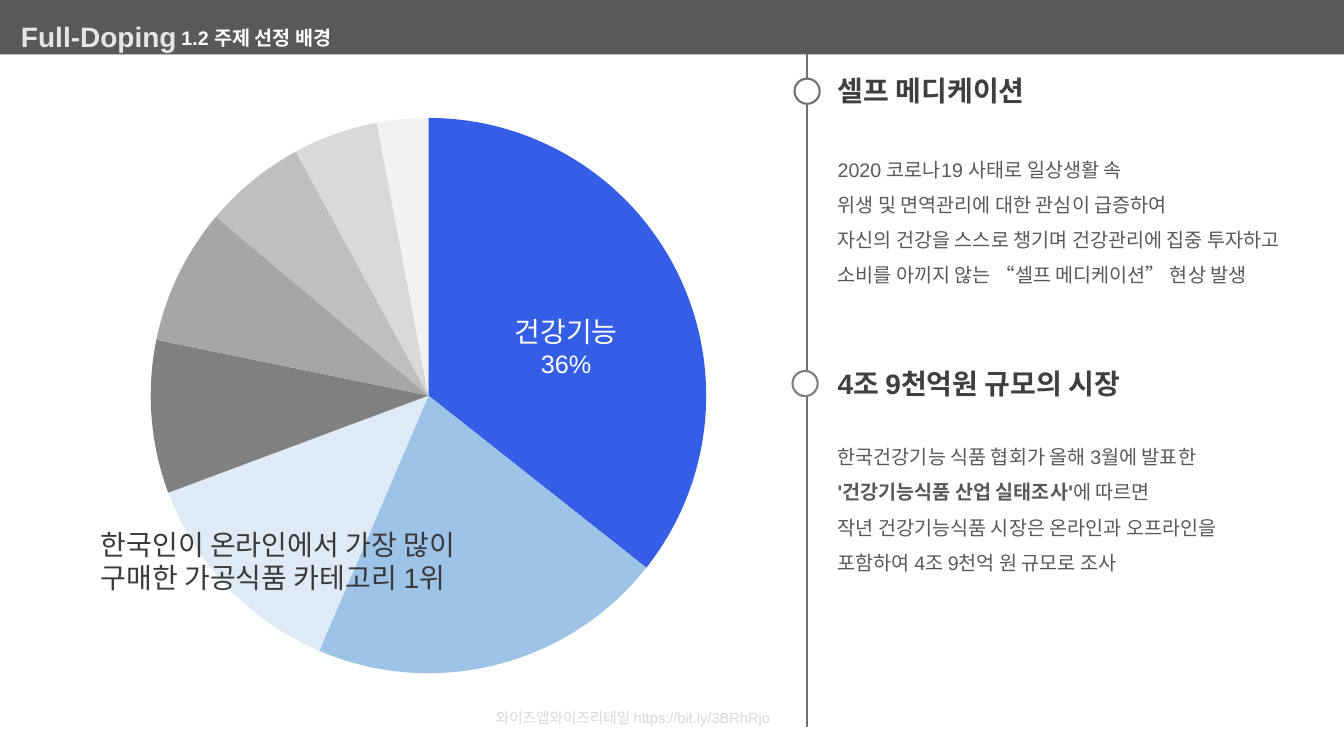
from pptx import Presentation, util as u
from pptx.chart import data as cd
from pptx.dml.color import RGBColor
from pptx.enum import chart as ch, shapes as sh, text as tx
from pptx.oxml import parse_xml
from pptx.oxml.ns import nsdecls
from lxml import etree

WIDE, HIGH = 13.33, 7.5
BAR = 0.54
AXIS = 8
DOT = 0.25
FONT = "Arial"
COL = {
    "bar": "595959", "brand": "E7E6E6", "white": "FFFFFF", "axis": "757070",
    "ring": "7F7F7F", "head": "3F3F3F", "body": "595959", "claim": "3A3838",
    "cite": "D8D8D8", "black": "000000",
}
PIE = [(36, "345EE6"), (21, "9DC3E6"), (13, "DEEBF7"), (9, "808080"),
       (8, "A6A6A6"), (6, "BFBFBF"), (5, "D9D9D9"), (3, "F2F2F2")]
SELF = [
    [("2020 코로나19 사태로 일상생활 속", False)],
    [("위생 및 면역관리에 대한 관심이 급증하여", False)],
    [("자신의 건강을 스스로 챙기며 건강관리에 집중 투자하고", False)],
    [("소비를 아끼지 않는 “셀프 메디케이션” 현상 발생", False)],
]
MARKET = [
    [("한국건강기능 식품 협회가 올해 3월에 발표한", False)],
    [("'건강기능식품 산업 실태조사'", True), ("에 따르면", False)],
    [("작년 건강기능식품 시장은 온라인과 오프라인을", False)],
    [("포함하여 4조 9천억 원 규모로 조사", False)],
]


def rgb(name):
    """Return the colour with the given name."""
    return RGBColor.from_string(COL[name])


def inch(*vals):
    """Turn numbers into inches."""
    return [u.Inches(v) for v in vals]


def write(par, words, size, color, bold=False):
    """Add one run to a paragraph."""
    run = par.add_run()
    run.text = words
    font = run.font
    font.name, font.size, font.bold = FONT, u.Pt(size), bold
    font.color.rgb = rgb(color)


def label(slide, box, lines, color, align=tx.PP_ALIGN.LEFT):
    """Add a text box with one paragraph per (words, size, bold) line."""
    frame = slide.shapes.add_textbox(*inch(*box)).text_frame
    frame.word_wrap = True
    for i, (words, size, bold) in enumerate(lines):
        par = frame.add_paragraph() if i else frame.paragraphs[0]
        par.alignment = align
        write(par, words, size, color, bold)


def paint(shape, fill, line=None):
    """Give a shape a flat fill and an optional outline."""
    shape.shadow.inherit = False
    shape.fill.solid()
    shape.fill.fore_color.rgb = rgb(fill)
    if line:
        shape.line.color.rgb = rgb(line)
        shape.line.width = u.Pt(1.5)
    else:
        shape.line.fill.background()


def header(slide, box):
    """Draw the top bar with the project name and the slide title."""
    x, y, w, h = box
    bar = slide.shapes.add_shape(sh.MSO_SHAPE.RECTANGLE, *inch(*box))
    paint(bar, "bar")
    label(slide, (x + 0.11, y + 0.14, w * 0.4, 0.44),
          [("Full-Doping", 20, True)], "brand")
    title = slide.shapes.title
    title.left, title.top, title.width, title.height = inch(
        x + 1.7, y + h - 0.34, 3.22, 0.34)
    frame = title.text_frame
    frame.auto_size = tx.MSO_AUTO_SIZE.NONE
    frame.vertical_anchor = tx.MSO_ANCHOR.BOTTOM
    par = frame.paragraphs[0]
    par.alignment = tx.PP_ALIGN.LEFT
    write(par, "1.2 주제 선정 배경", 14, "white", True)
    bar.element.addnext(title.element)


def pie(slide, box):
    """Draw the category pie with its labels."""
    x, y, w, h = box
    data = cd.CategoryChartData()
    data.categories = [str(i + 1) for i in range(len(PIE))]
    data.add_series("Series 1", [val for val, _ in PIE])
    chart = slide.shapes.add_chart(
        ch.XL_CHART_TYPE.PIE, *inch(*box), data).chart
    chart.has_legend = chart.has_title = False
    chart.font.name, chart.font.size = FONT, u.Pt(10)
    chart.font.color.rgb = rgb("black")
    plot = chart.plots[0]
    plot.vary_by_categories = True
    for i, (_, color) in enumerate(PIE):
        point = plot.series[0].points[i].format
        point.fill.solid()
        point.fill.fore_color.rgb = RGBColor.from_string(color)
        point.line.fill.background()
    area = chart.element.chart.plotArea
    for old in area.findall("{*}layout"):
        area.remove(old)
    disc = 5.51
    lay = parse_xml(f"<c:layout {nsdecls('c')}><c:manualLayout/></c:layout>")
    rules = [("layoutTarget", "inner"), ("xMode", "edge"), ("yMode", "edge"),
             ("x", (1 - disc / w) / 2), ("y", (1 - disc / h) / 2),
             ("w", disc / w), ("h", disc / h)]
    for tag, val in rules:
        node = etree.SubElement(lay[0], f"{{{lay.nsmap['c']}}}{tag}")
        node.set("val", str(val))
    area.insert(0, lay)
    label(slide, (x - 0.12, y + 4.15, 3.86, 0.77),
          [("한국인이 온라인에서 가장 많이", 20, False),
           ("구매한 가공식품 카테고리 1위", 20, False)], "claim")
    label(slide, (x + 3.74, y + 2.04, 1.71, 0.74),
          [("건강기능", 20, False), ("36%", 18, False)],
          "white", tx.PP_ALIGN.CENTER)


def axis(slide, top, end):
    """Draw the vertical line that holds the topics."""
    line = slide.shapes.add_connector(
        sh.MSO_CONNECTOR.STRAIGHT, *inch(AXIS, top, AXIS, end))
    line.line.color.rgb = rgb("axis")
    line.line.width = u.Pt(1.5)
    props = line.element.spPr
    props.append(parse_xml(f"<a:effectLst {nsdecls('a')}/>"))


def topic(slide, box, dot, ring, head, gap, rows):
    """Draw a ring on the axis with a heading and its text."""
    mark = slide.shapes.add_shape(
        sh.MSO_SHAPE.OVAL, *inch(*dot, DOT, DOT))
    paint(mark, "white", ring)
    frame = slide.shapes.add_textbox(*inch(*box)).text_frame
    frame.word_wrap = True
    first = frame.paragraphs[0]
    first.space_after = u.Pt(gap)
    write(first, head, 20, "head", True)
    for row in rows:
        par = frame.add_paragraph()
        par.line_spacing = 1.5
        for words, bold in row:
            write(par, words, 14, "body", bold)


def main():
    """Build the slide and save it."""
    deck = Presentation()
    deck.slide_width, deck.slide_height = inch(WIDE, HIGH)
    slide = deck.slides.add_slide(deck.slide_layouts[5])
    header(slide, (0, 0, WIDE, BAR))
    axis(slide, BAR, 7.21)
    topic(slide, (8.21, 0.68, 4.89, 2.32), (7.88, 0.78), "axis",
          "셀프 메디케이션", 27.6, SELF)
    topic(slide, (8.21, 3.59, 4.89, 2.19), (7.86, 3.68), "ring",
          "4조 9천억원 규모의 시장", 23.4, MARKET)
    pie(slide, (1.02, 1.03, 6.46, 5.79))
    label(slide, (4.82, 6.98, 3.25, 0.29),
          [("와이즈앱와이즈리테일 https://bit.ly/3BRhRjo", 10.5, False)], "cite")
    deck.save("out.pptx")


if __name__ == "__main__":
    main()
